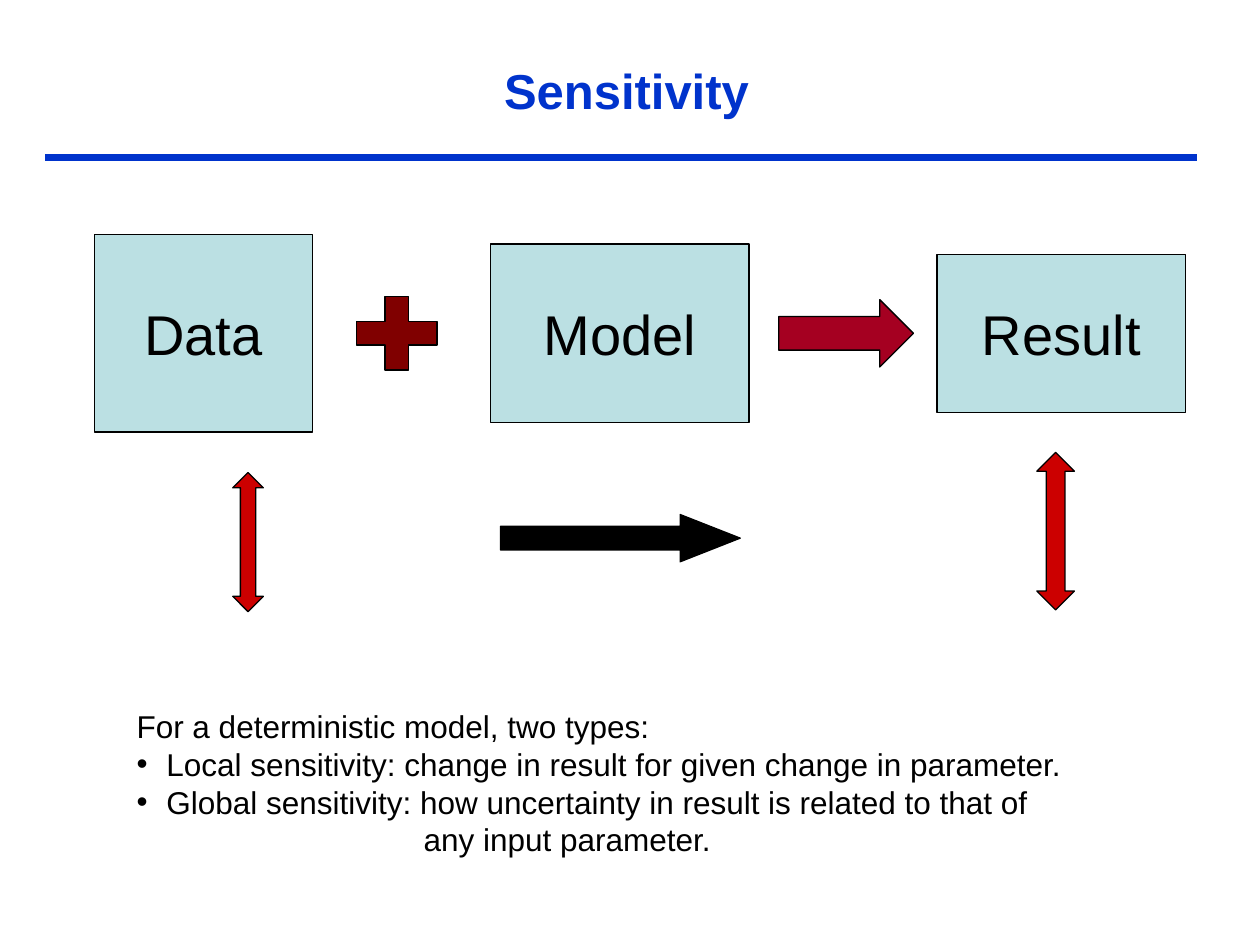
from dataclasses import dataclass

from lxml import etree
from pptx import Presentation
from pptx.dml.color import RGBColor
from pptx.enum import shapes, text
from pptx.oxml import ns
from pptx.util import Pt


@dataclass(frozen=True)
class Theme:
    font: str = "Arial"
    title_color: str = "0033CC"
    ink: str = "000000"
    box_fill: str = "BBE0E3"
    plus_fill: str = "800000"
    result_arrow_fill: str = "A50021"
    change_arrow_fill: str = "CC0000"
    title_size: float = 28
    box_size: float = 32
    body_size: float = 18
    outline: float = 0.75
    rule: float = 4.5


@dataclass(frozen=True)
class Box:
    left: float
    top: float
    width: float
    height: float

    def inside(self, left, top, width, height):
        return Box(self.left + left, self.top + top, width, height)

    def centered(self, left, width, height):
        return self.inside(left, (self.height - height) / 2, width, height)

    def lengths(self):
        return [Pt(value) for value in (self.left, self.top, self.width, self.height)]


THEME = Theme()
SHAPE = shapes.MSO_SHAPE


def write(paragraph, wording, *, size, color=THEME.ink, bold=False,
          align=text.PP_ALIGN.LEFT, margin=0, bullet=None):
    properties = paragraph._p.get_or_add_pPr()
    if margin:
        properties.set("marL", str(Pt(margin)))
        properties.set("indent", str(Pt(-margin if bullet else 0)))
    if bullet:
        etree.SubElement(properties, ns.qn("a:buFont"), typeface=THEME.font)
        etree.SubElement(properties, ns.qn("a:buChar"), char=bullet)
    paragraph.alignment = align
    run = paragraph.add_run()
    run.text = wording
    run.font.name = THEME.font
    run.font.size = Pt(size)
    run.font.bold = bold
    run.font.color.rgb = RGBColor.from_string(color)


def add_outlined(slide, kind, box, fill, adjustments=()):
    shape = slide.shapes.add_shape(kind, *box.lengths())
    shape.shadow.inherit = False
    shape.fill.solid()
    shape.fill.fore_color.rgb = RGBColor.from_string(fill)
    shape.line.color.rgb = RGBColor.from_string(THEME.ink)
    shape.line.width = Pt(THEME.outline)
    for index, value in enumerate(adjustments):
        shape.adjustments[index] = value
    return shape


def add_heading(slide, box):
    title = slide.shapes.title
    title.left, title.top, title.width, title.height = box.lengths()
    title.text_frame.vertical_anchor = text.MSO_ANCHOR.MIDDLE
    write(title.text_frame.paragraphs[0], "Sensitivity", size=THEME.title_size,
          color=THEME.title_color, bold=True, align=text.PP_ALIGN.CENTER)
    rule_top = Pt(box.top + 68.5)
    rule = slide.shapes.add_connector(
        shapes.MSO_CONNECTOR.STRAIGHT, Pt(box.left - 8), rule_top,
        Pt(box.left + box.width + 2), rule_top)
    rule.line.color.rgb = RGBColor.from_string(THEME.title_color)
    rule.line.width = Pt(THEME.rule)
    etree.SubElement(rule._element.spPr, ns.qn("a:effectLst"))


def add_flow(slide, box):
    stages = [("Data", 0, 124.5, 113), ("Model", 226.5, 147.5, 102),
              ("Result", 481.5, 142, 90.5)]
    for label, left, width, height in stages:
        stage = add_outlined(slide, SHAPE.RECTANGLE,
                             box.centered(left, width, height), THEME.box_fill)
        stage.text_frame.word_wrap = False
        stage.text_frame.vertical_anchor = text.MSO_ANCHOR.MIDDLE
        write(stage.text_frame.paragraphs[0], label, size=THEME.box_size,
              align=text.PP_ALIGN.CENTER)
    add_outlined(slide, SHAPE.MATH_PLUS, box.centered(141.5, 62.5, 57),
                 THEME.plus_fill)
    add_outlined(slide, SHAPE.RIGHT_ARROW, box.centered(391, 77, 38.5),
                 THEME.result_arrow_fill, (0.5, 0.5))


def add_change_arrow(slide, box, head_ratio):
    shaft_ratio = 0.5
    add_outlined(slide, SHAPE.UP_DOWN_ARROW, box, THEME.change_arrow_fill,
                 (head_ratio, shaft_ratio))


def add_changes(slide, box):
    add_change_arrow(slide, box.inside(79, 11.5, 17.5, 79.5), 0.93)
    add_outlined(slide, SHAPE.RIGHT_ARROW, box.inside(232, 35.5, 137, 27),
                 THEME.ink, (0.5, 1.27))
    add_change_arrow(slide, box.inside(538.5, 0, 21.5, 90), 0.85)


def add_explanation(slide, box):
    frame = slide.shapes.add_textbox(*box.lengths()).text_frame
    frame.word_wrap = True
    lines = [
        ("For a deterministic model, two types:", {}),
        ("Local sensitivity: change in result for given change in parameter.",
         {"margin": 17, "bullet": "•"}),
        ("Global sensitivity: how uncertainty in result is related to that of",
         {"margin": 17, "bullet": "•"}),
        ("any input parameter.", {"margin": 164}),
    ]
    for index, (wording, layout) in enumerate(lines):
        paragraph = frame.add_paragraph() if index else frame.paragraphs[0]
        write(paragraph, wording, size=THEME.body_size, **layout)


def main():
    presentation = Presentation()
    presentation.slide_width, presentation.slide_height = Pt(720), Pt(540)
    slide = presentation.slides.add_slide(
        presentation.slide_layouts.get_by_name("Title Only"))
    add_heading(slide, Box(34, 21.5, 648, 60))
    add_flow(slide, Box(54, 134, 623.5, 113))
    add_changes(slide, Box(54, 258.5, 623.5, 91))
    add_explanation(slide, Box(71, 400.5, 576.5, 93.5))
    presentation.save("out.pptx")


if __name__ == "__main__":
    main()
